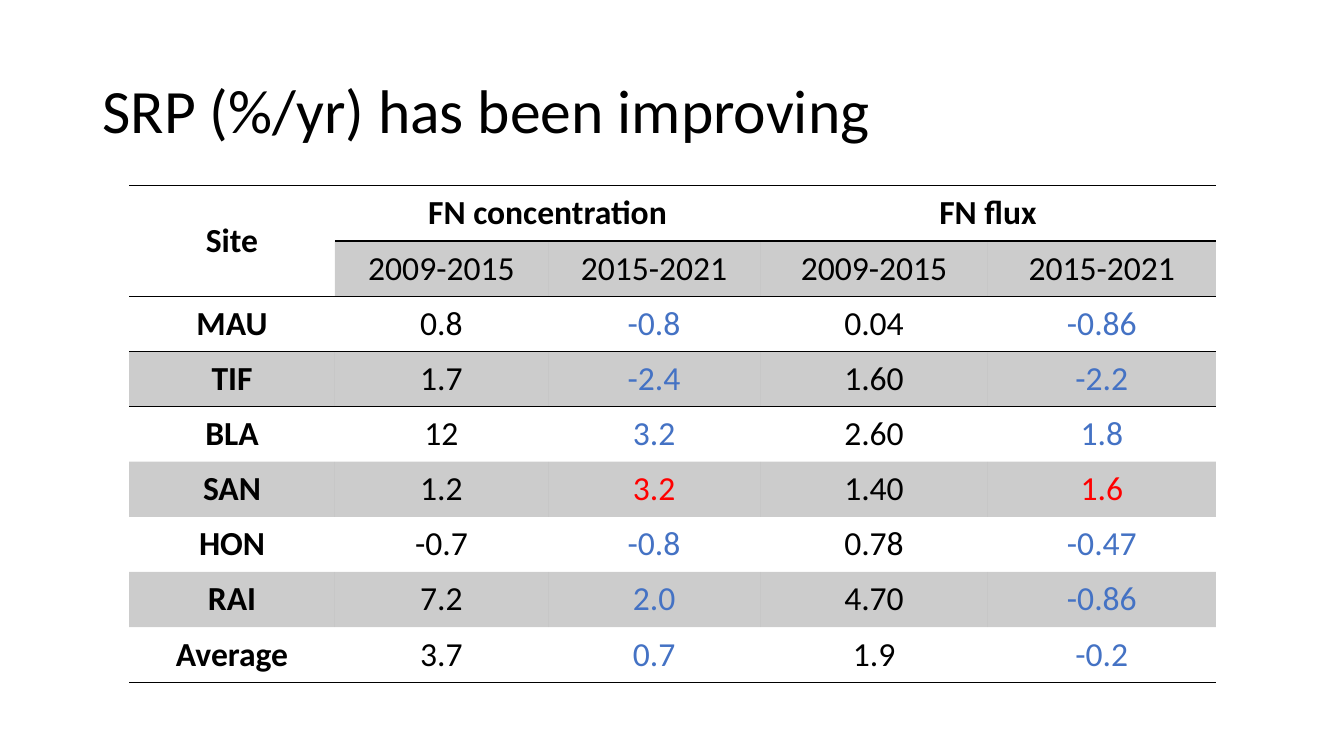
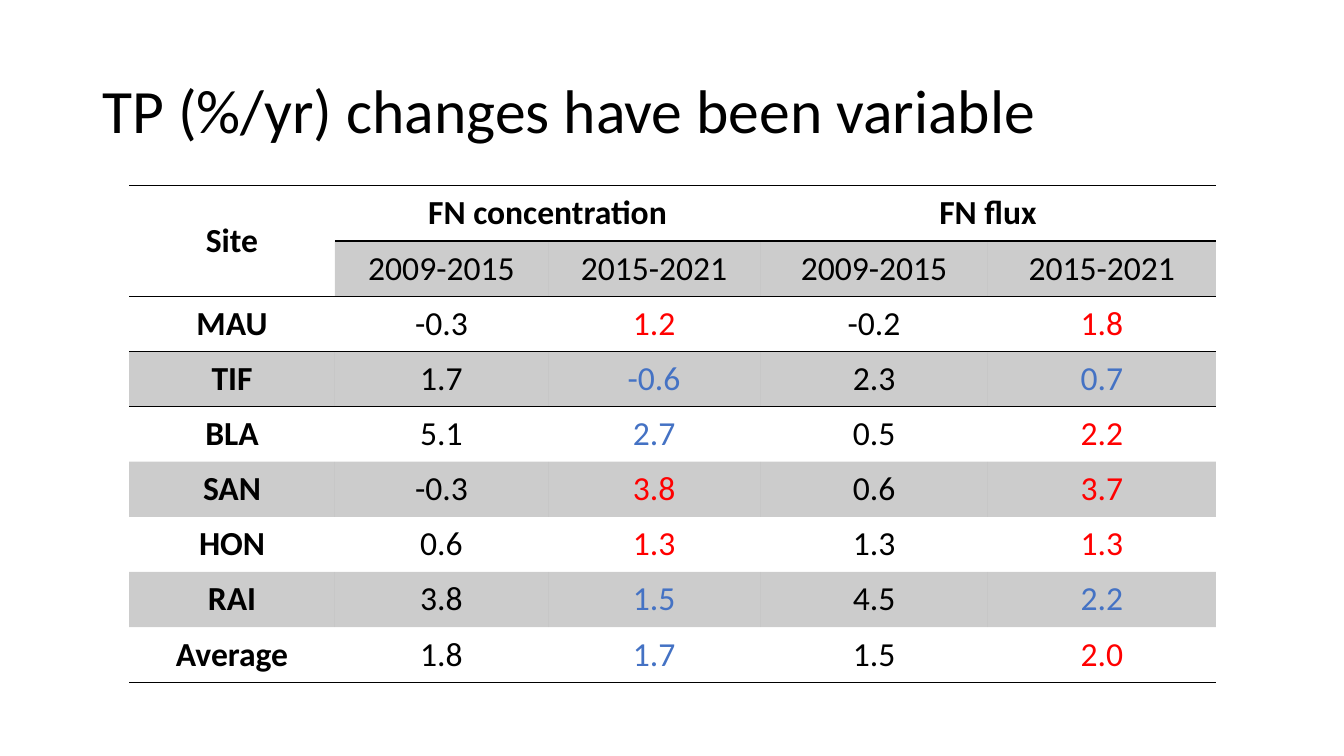
import dataclasses

import lxml.etree
import pptx
import pptx.dml.color
import pptx.enum.text
import pptx.oxml.ns
import pptx.util

PX = 9525
SLIDE_SIZE = (1280, 720)
TITLE_BOX = (88, 39, 1104, 139)
TABLE_BOX = (123, 177, 1035, 473)
COLUMN_WIDTHS = (196, 203, 202, 217, 217)
CELL_PADDING = 7
RULED_EDGES = {0, 1, 2, 3, 9}
PLAIN_TABLE_STYLE = "{2D5ABB26-0587-4C30-8999-92F81FD0307C}"
TITLE_ONLY_LAYOUT = 5

HEADER_ROWS = [
    ("Site", "FN concentration", "", "FN flux", ""),
    ("", "2009-2015", "2015-2021", "2009-2015", "2015-2021"),
]
TRENDS = {
    "SRP (%/yr) has been improving": [
        ("MAU", "0.8", "-0.8", "0.04", "-0.86"),
        ("TIF", "1.7", "-2.4", "1.60", "-2.2"),
        ("BLA", "12", "3.2", "2.60", "1.8"),
        ("SAN", "1.2", "3.2", "1.40", "1.6"),
        ("HON", "-0.7", "-0.8", "0.78", "-0.47"),
        ("RAI", "7.2", "2.0", "4.70", "-0.86"),
        ("Average", "3.7", "0.7", "1.9", "-0.2"),
    ],
    "TP (%/yr) changes have been variable": [
        ("MAU", "-0.3", "1.2", "-0.2", "1.8"),
        ("TIF", "1.7", "-0.6", "2.3", "0.7"),
        ("BLA", "5.1", "2.7", "0.5", "2.2"),
        ("SAN", "-0.3", "3.8", "0.6", "3.7"),
        ("HON", "0.6", "1.3", "1.3", "1.3"),
        ("RAI", "3.8", "1.5", "4.5", "2.2"),
        ("Average", "1.8", "1.7", "1.5", "2.0"),
    ],
}


@dataclasses.dataclass(frozen=True)
class Theme:
    """Colours, font and type sizes of the presentation."""

    ink: str = "000000"
    improving: str = "4472C4"
    worsening: str = "FF0000"
    band_opacity: int = 20
    font: str = "Calibri"
    title_size: int = 44
    cell_size: int = 24
    rule_width: int = 1


THEME = Theme()


def px(length):
    """Turn px into EMU."""
    return pptx.util.Emu(round(length * PX))


def set_font(paragraph, size, color=THEME.ink, bold=False):
    """Set the font of a whole paragraph."""
    font = paragraph.font
    font.name = THEME.font
    font.size = pptx.util.Pt(size)
    font.bold = bold
    font.color.rgb = pptx.dml.color.RGBColor.from_string(color)


def add_element(parent, tag, **attributes):
    """Append a drawing element to its parent."""
    return lxml.etree.SubElement(parent, pptx.oxml.ns.qn(tag), attributes)


def add_rule(cell, tag):
    """Draw a thin line along one side of a cell."""
    width = str(int(pptx.util.Pt(THEME.rule_width)))
    line = add_element(cell._tc.get_or_add_tcPr(), tag, w=width)
    add_element(add_element(line, "a:solidFill"), "a:srgbClr", val=THEME.ink)


def fill_cell(cell, banded):
    """Give a cell a translucent band or no fill."""
    if not banded:
        cell.fill.background()
        return
    cell.fill.solid()
    cell.fill.fore_color.rgb = pptx.dml.color.RGBColor.from_string(THEME.ink)
    fill = cell._tc.tcPr.find(pptx.oxml.ns.qn("a:solidFill"))
    add_element(fill[0], "a:alpha", val=str(THEME.band_opacity * 1000))


def value_color(values, row, column):
    """Colour each later period by its change from the earlier one."""
    if row < len(HEADER_ROWS) or column not in (2, 4):
        return THEME.ink
    rising = float(values[column]) >= float(values[column - 1])
    return THEME.worsening if rising else THEME.improving


def place_title(slide, box, text):
    """Place the slide title in its box."""
    title = slide.shapes.title
    title.left, title.top, title.width, title.height = map(px, box)
    frame = title.text_frame
    frame.text = text
    frame.word_wrap = True
    frame.auto_size = pptx.enum.text.MSO_AUTO_SIZE.NONE
    frame.vertical_anchor = pptx.enum.text.MSO_ANCHOR.MIDDLE
    paragraph = frame.paragraphs[0]
    paragraph.alignment = pptx.enum.text.PP_ALIGN.LEFT
    paragraph.line_spacing = 0.9
    set_font(paragraph, THEME.title_size)


def format_cell(cell, values, row, column):
    """Write and style one table cell."""
    cell.margin_left = cell.margin_right = px(CELL_PADDING)
    cell.margin_top = cell.margin_bottom = 0
    cell.vertical_anchor = pptx.enum.text.MSO_ANCHOR.MIDDLE
    cell.text = values[column]
    paragraph = cell.text_frame.paragraphs[0]
    paragraph.alignment = pptx.enum.text.PP_ALIGN.CENTER
    bold = row == 0 or column == 0
    set_font(paragraph, THEME.cell_size, value_color(values, row, column), bold)
    if not cell.is_spanned:
        for tag, edge in (("a:lnT", row), ("a:lnB", row + 1)):
            if edge in RULED_EDGES:
                add_rule(cell, tag)
    fill_cell(cell, row % 2 == 1 and not cell.is_spanned)


def place_table(slide, box, site_rows):
    """Place the table of site trends in its box."""
    rows = HEADER_ROWS + site_rows
    frame = slide.shapes.add_table(len(rows), len(COLUMN_WIDTHS), *map(px, box))
    table = frame.table
    table.first_row = table.horz_banding = False
    style = frame._element.find(".//" + pptx.oxml.ns.qn("a:tableStyleId"))
    style.text = PLAIN_TABLE_STYLE
    for column, width in zip(table.columns, COLUMN_WIDTHS):
        column.width = px(width)
    for row in table.rows:
        row.height = px(box[3] / len(rows))
    table.cell(0, 0).merge(table.cell(1, 0))
    for first in (1, 3):
        table.cell(0, first).merge(table.cell(0, first + 1))
    for row, values in enumerate(rows):
        for column in range(len(values)):
            format_cell(table.cell(row, column), values, row, column)


def add_trend_slide(presentation, title, site_rows):
    """Add one slide with a title and a trend table."""
    layout = presentation.slide_layouts[TITLE_ONLY_LAYOUT]
    slide = presentation.slides.add_slide(layout)
    place_title(slide, TITLE_BOX, title)
    place_table(slide, TABLE_BOX, site_rows)


def main():
    """Build and save the presentation."""
    presentation = pptx.Presentation()
    presentation.slide_width, presentation.slide_height = map(px, SLIDE_SIZE)
    for title, site_rows in TRENDS.items():
        add_trend_slide(presentation, title, site_rows)
    presentation.save("out.pptx")


if __name__ == "__main__":
    main()
